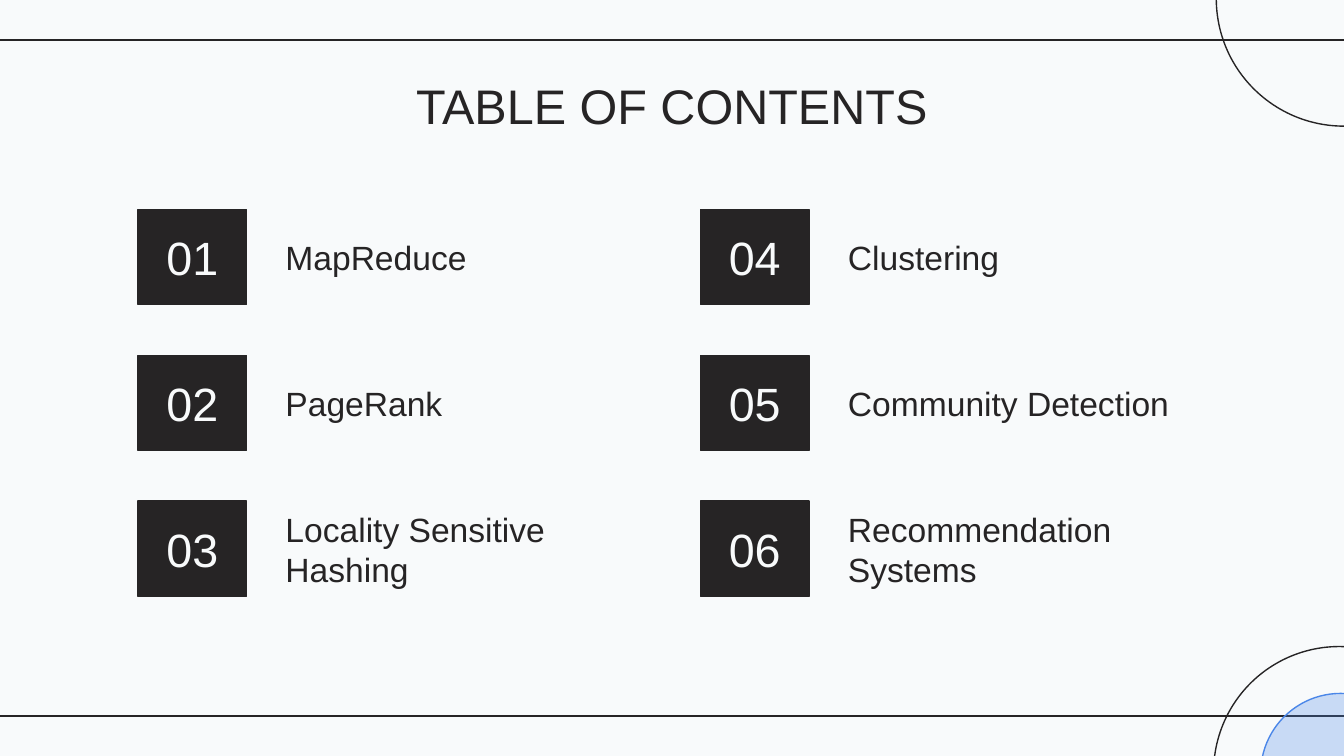
from lxml import etree
from pptx import Presentation
from pptx.dml.color import RGBColor
from pptx.enum.shapes import MSO_CONNECTOR, MSO_SHAPE
from pptx.enum.text import MSO_ANCHOR, PP_ALIGN
from pptx.oxml.ns import qn
from pptx.util import Inches, Pt

RECT, OVAL = MSO_SHAPE.RECTANGLE, MSO_SHAPE.OVAL
STRAIGHT = MSO_CONNECTOR.STRAIGHT
MIDDLE = MSO_ANCHOR.MIDDLE
LEFT, CENTER = PP_ALIGN.LEFT, PP_ALIGN.CENTER

THEME = {
    "paper": RGBColor.from_string("F8FAFB"),
    "ink": RGBColor.from_string("262425"),
    "accent": RGBColor.from_string("4A86E8"),
    "accent_alpha": 27,
    "font": "Arial",
    "title": Pt(26),
    "number": Pt(25),
    "topic": Pt(18),
    "line": Pt(0.75),
}

prs = Presentation()
prs.slide_width = Inches(10)
prs.slide_height = prs.slide_width * 9 // 16
COL, ROW = prs.slide_width / 100, prs.slide_height / 100
s = prs.slides.add_slide(prs.slide_layouts[6])
s.background.fill.solid()
s.background.fill.fore_color.rgb = THEME["paper"]


def add_box(kind, x, y, w, h, fill=None, line=None):
    box = [round(v) for v in (x, y, w, h)]
    sp = s.shapes.add_shape(kind, *box) if line else s.shapes.add_textbox(*box)
    if line:
        sp.shadow.inherit = False
        sp.line.color.rgb = line
        sp.line.width = THEME["line"]
    if fill:
        sp.fill.solid()
        sp.fill.fore_color.rgb = fill
    else:
        sp.fill.background()
    return sp


def set_text(sp, text, size, color, align):
    tf = sp.text_frame
    frame = {"word_wrap": True, "vertical_anchor": MIDDLE}
    frame |= {f"margin_{side}": Inches(0.1) for side in ("left", "top", "right", "bottom")}
    p = tf.paragraphs[0]
    r = p.add_run()
    r.text = text
    r.font.color.rgb = color
    font = {"name": THEME["font"], "size": THEME[size]}
    for obj, values in ((tf, frame), (p, {"alignment": align}), (r.font, font)):
        for name, value in values.items():
            setattr(obj, name, value)


for row in (5.3, 94.7):
    y = round(row * ROW)
    rule = s.shapes.add_connector(STRAIGHT, round(100.2 * COL), y, round(-0.2 * COL), y)
    rule.line.color.rgb = THEME["ink"]
    rule.line.width = THEME["line"]
    etree.SubElement(rule._element.spPr, qn("a:effectLst"))

for col, row, size, fill, line in (
    (99.65, 102.15, 18.7, None, "ink"),
    (99.75, 102.3, 11.9, "accent", "accent"),
    (100, -0.2, 19, None, "ink"),
):
    d = size * COL
    sp = add_box(OVAL, col * COL - d / 2, row * ROW - d / 2, d, d, THEME.get(fill), THEME[line])
    if fill:
        clr = sp._element.spPr.find(qn("a:solidFill"))[0]
        etree.SubElement(clr, qn("a:alpha"), val=str(THEME["accent_alpha"] * 1000))

title = add_box(RECT, 7.87 * COL, 8 * ROW, 84.3 * COL, 11.9 * ROW)
set_text(title, "TABLE OF CONTENTS", "title", THEME["ink"], CENTER)

topics = [
    "MapReduce", "PageRank", "Locality Sensitive Hashing",
    "Clustering", "Community Detection", "Recommendation Systems",
]
for i, topic in enumerate(topics):
    col, row = divmod(i, 3)
    x, y = (10.26 + 41.85 * col) * COL, (27.7 + 19.3 * row) * ROW
    h = 12.6 * ROW
    badge = add_box(RECT, x, y, 8.1 * COL, h, THEME["ink"], THEME["ink"])
    set_text(badge, f"{i + 1:02}", "number", THEME["paper"], CENTER)
    label = add_box(RECT, x + 10 * COL, y, 30 * COL, h)
    set_text(label, topic, "topic", THEME["ink"], LEFT)

prs.save("out.pptx")
